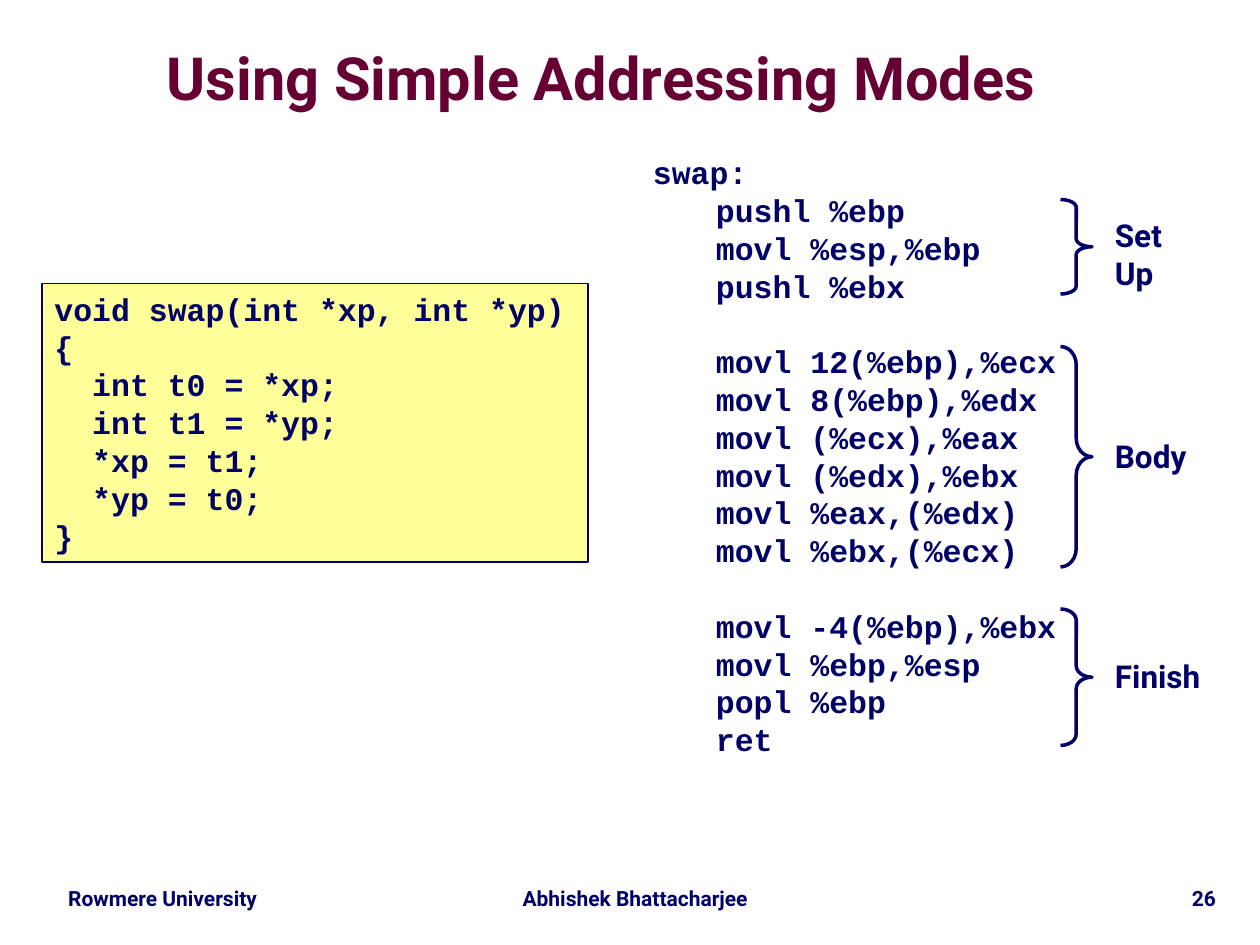
from pptx import Presentation
from pptx.dml.color import RGBColor
from pptx.enum.shapes import MSO_SHAPE as Shape
from pptx.enum.text import MSO_ANCHOR as Anchor, MSO_AUTO_SIZE as AutoSize, PP_ALIGN as Align
from pptx.util import Pt

COLORS = {"navy": "000066", "maroon": "660033", "yellow": "FFFF99"}
CODE_FONT, LABEL_FONT = "Courier New", "Roboto"
LINE_HEIGHT = 21.6
C_INDENT, ASM_INDENT = 21.6, 36

TITLE = "Using Simple Addressing Modes"

# Each line of code: text, indent, space before
C_CODE = [
    ("void swap(int *xp, int *yp)", 0, 0),
    ("{", 0, 0),
    *[(line, C_INDENT, 0) for line in
      ("int t0 = *xp;", "int t1 = *yp;", "*xp = t1;", "*yp = t0;")],
    ("}", 0, 0),
]
ASM_BLOCKS = [
    ["pushl %ebp", "movl %esp,%ebp", "pushl %ebx"],
    ["movl 12(%ebp),%ecx", "movl 8(%ebp),%edx", "movl (%ecx),%eax",
     "movl (%edx),%ebx", "movl %eax,(%edx)", "movl %ebx,(%ecx)"],
    ["movl -4(%ebp),%ebx", "movl %ebp,%esp", "popl %ebp", "ret"],
]
# Label lines, label top and width, brace top and height
PHASES = [
    (["Set", "Up"], 120, 42.5, 114, 54),
    (["Body"], 246, 60, 198, 126),
    (["Finish"], 372, 67.5, 348, 78),
]
BRACE_LEFT, BRACE_WIDTH, LABEL_LEFT = 606, 18, 630

# Text, left, width, alignment
FOOTERS = [
    ("Rowmere University", 24, 138, Align.CENTER),
    ("Abhishek Bhattacharjee", 282, 162, Align.CENTER),
    ("26", 588, 114, Align.RIGHT),
]


def color(name):
    return RGBColor.from_string(COLORS[name])


def write(shape, lines, font=LABEL_FONT, size=18, ink="navy", align=Align.LEFT,
          spacing=None, wrap=True, anchor=Anchor.TOP):
    """Fill a shape with lines, each a string or (text, indent, space before)."""
    frame = shape.text_frame
    frame.word_wrap = wrap
    frame.auto_size = AutoSize.NONE
    frame.vertical_anchor = anchor
    for index, line in enumerate(lines):
        text, indent, before = (line, 0, 0) if isinstance(line, str) else line
        para = frame.paragraphs[0] if index == 0 else frame.add_paragraph()
        para.alignment = align
        para.space_before = Pt(before)
        if spacing:
            para.line_spacing = spacing
        if indent:
            properties = para._p.get_or_add_pPr()
            properties.set("marL", str(Pt(indent)))
            properties.set("indent", "0")
        span = para.add_run()
        span.text = text
        span.font.name = font
        span.font.size = Pt(size)
        span.font.bold = True
        span.font.color.rgb = color(ink)


def add_text(page, left, top, width, height, lines, **form):
    box = page.shapes.add_textbox(Pt(left), Pt(top), Pt(width), Pt(height))
    write(box, lines, **form)


def add_outlined(page, kind, left, top, width, height, weight):
    shape = page.shapes.add_shape(kind, Pt(left), Pt(top), Pt(width), Pt(height))
    shape.shadow.inherit = False
    shape.fill.background()
    shape.line.color.rgb = color("navy")
    shape.line.width = Pt(weight)
    return shape


def assembly_lines():
    lines = [("swap:", 0, 0)]
    for number, block in enumerate(ASM_BLOCKS):
        for row, text in enumerate(block):
            starts_later_block = number > 0 and row == 0
            lines.append((text, ASM_INDENT, LINE_HEIGHT if starts_later_block else 0))
    return lines


def main():
    deck = Presentation()
    deck.slide_width, deck.slide_height = Pt(720), Pt(540)
    page = deck.slides.add_slide(deck.slide_layouts[5])

    title = page.shapes.title
    title.left, title.top, title.width, title.height = Pt(42), Pt(24), Pt(603), Pt(45)
    frame = title.text_frame
    frame.margin_left = frame.margin_right = frame.margin_top = frame.margin_bottom = 0
    write(title, [TITLE], size=34, ink="maroon", align=Align.CENTER,
          spacing=0.87, anchor=Anchor.MIDDLE)

    panel = add_outlined(page, Shape.RECTANGLE, 24, 162, 312, 159, 1)
    panel.fill.solid()
    panel.fill.fore_color.rgb = color("yellow")
    write(panel, C_CODE, font=CODE_FONT)

    add_text(page, 366, 84, 264, 353, assembly_lines(), font=CODE_FONT)

    for label, label_top, label_width, top, height in PHASES:
        brace = add_outlined(page, Shape.RIGHT_BRACE, BRACE_LEFT, top,
                             BRACE_WIDTH, height, 2)
        brace.adjustments[0] = height / BRACE_WIDTH / 12
        brace.adjustments[1] = 0.5
        add_text(page, LABEL_LEFT, label_top, label_width,
                 7.2 + LINE_HEIGHT * len(label), label, wrap=False)

    for text, left, width, align in FOOTERS:
        add_text(page, left, 504, width, 20.5, [text], size=12, align=align, spacing=0.9)

    deck.save("out.pptx")


if __name__ == "__main__":
    main()
